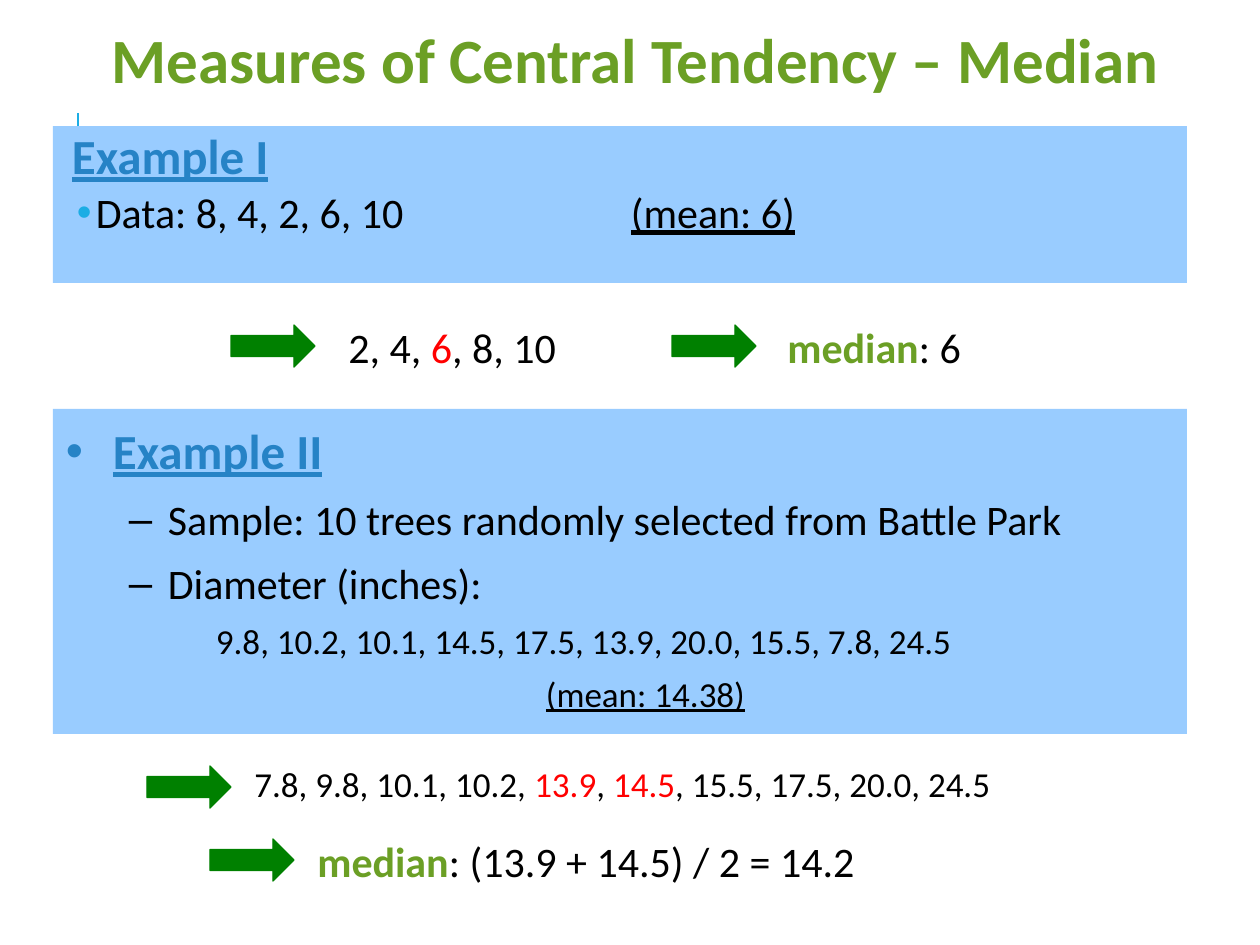
from lxml.etree import SubElement
from pptx import Presentation
from pptx.dml.color import RGBColor
from pptx.enum.shapes import MSO_CONNECTOR, MSO_SHAPE
from pptx.enum.text import MSO_ANCHOR, PP_ALIGN
from pptx.oxml.ns import qn
from pptx.util import Emu, Pt

SCALE = 914400 / 126
BLACK, RED, GREEN, BLUE = "000000", "FF0000", "6B9F25", "2683C6"
CYAN, PANEL, ARROW = "1CADE4", "99CCFF", "008000"


def px(n):
    """Turn pixels into EMU."""
    return Emu(round(n * SCALE))


def rgb(code):
    """Turn a hex string into a colour."""
    return RGBColor.from_string(code)


def write(para, parts):
    """Fill a paragraph with (text, size, colour, marks) runs; marks hold b or u."""
    for text, size, color, marks in parts:
        run = para.add_run()
        run.text = text
        font = run.font
        font.name, font.size = "Calibri", Pt(size)
        font.bold, font.underline = "b" in marks, "u" in marks
        font.color.rgb = rgb(color)


def layout(para, left, hang=0, mark=None, tint=BLACK, tab=None):
    """Set the indent, bullet and tab stop of a paragraph."""
    props = para._p.get_or_add_pPr()
    props.set("marL", str(px(left)))
    props.set("indent", str(-px(hang)))
    if mark:
        SubElement(SubElement(props, qn("a:buClr")), qn("a:srgbClr"), val=tint)
        SubElement(props, qn("a:buFont"), typeface="Arial")
        SubElement(props, qn("a:buChar"), char=mark)
    else:
        SubElement(props, qn("a:buNone"))
    if tab:
        stops = SubElement(props, qn("a:tabLst"))
        SubElement(stops, qn("a:tab"), pos=str(px(tab)), algn="l")


def panel(slide, x, y, w, h, pad, lead, rows):
    """Draw a filled box of rows: (parts, indent, space before, space after)."""
    box = slide.shapes.add_shape(MSO_SHAPE.RECTANGLE, px(x), px(y), px(w), px(h))
    box.shadow.inherit = False
    box.fill.solid()
    box.fill.fore_color.rgb = rgb(PANEL)
    box.line.fill.background()
    frame = box.text_frame
    frame.word_wrap = True
    frame.vertical_anchor = MSO_ANCHOR.TOP
    frame.margin_left = frame.margin_right = px(pad)
    frame.margin_top = frame.margin_bottom = px(6)
    for i, (parts, indent, before, after) in enumerate(rows):
        para = frame.add_paragraph() if i else frame.paragraphs[0]
        para.alignment = PP_ALIGN.LEFT
        layout(para, **indent)
        para.line_spacing = lead
        para.space_before, para.space_after = Pt(before), Pt(after)
        write(para, parts)


def label(slide, x, y, w, h, parts, wrap=False):
    """Place one line of text."""
    frame = slide.shapes.add_textbox(px(x), px(y), px(w), px(h)).text_frame
    frame.word_wrap = wrap
    write(frame.paragraphs[0], parts)
    return frame


def step(slide, x, y, gap, drop, w, h, parts):
    """Draw an arrow and the result to its right."""
    arrow = slide.shapes.add_shape(MSO_SHAPE.RIGHT_ARROW, px(x), px(y), px(84), px(42))
    arrow.shadow.inherit = False
    arrow.fill.solid()
    arrow.fill.fore_color.rgb = rgb(ARROW)
    arrow.line.color.rgb = rgb(ARROW)
    arrow.line.width = Pt(0.75)
    label(slide, x + 84 + gap, y - drop, w, h, parts)


def header(slide, x, y, w, h):
    """Draw the title and the thin rule under it."""
    title = [("Measures of Central Tendency – Median", 36, GREEN, "b")]
    frame = label(slide, x, y, w, h, title, True)
    frame.vertical_anchor = MSO_ANCHOR.MIDDLE
    frame.paragraphs[0].alignment = PP_ALIGN.CENTER
    rule = slide.shapes.add_connector(
        MSO_CONNECTOR.STRAIGHT, px(x + 57), px(y + 239), px(x + 57), px(y + 113))
    rule.line.color.rgb = rgb(CYAN)
    rule.line.width = Pt(1.5)
    SubElement(rule._element.spPr, qn("a:effectLst"))


def first(slide, x, y, w):
    """Draw the odd-sized example and its steps."""
    panel(slide, x, y, w, 157, 6, 0.9, [
        ([("Example I", 28, BLUE, "bu")], dict(left=13), 0, 2),
        ([("Data: 8, 4, 2, 6, 10\t", 24, BLACK, ""), ("(mean: 6)", 24, BLACK, "u")],
         dict(left=37, hang=19, mark="•", tint=CYAN, tab=572), 2, 4),
    ])
    step(slide, x + 178, y + 199, 21, 10, 258, 63, [
        ("2, 4, ", 24, BLACK, ""), ("6", 24, RED, ""), (", 8, 10", 24, BLACK, "")])
    step(slide, x + 619, y + 199, 19, 10, 219, 63, [
        ("median", 24, GREEN, "b"), (": 6", 24, BLACK, "")])


def second(slide, x, y, w):
    """Draw the even-sized example and its steps."""
    dash = dict(left=102, hang=39, mark="–")
    sample = "Sample: 10 trees randomly selected from Battle Park"
    data = "9.8, 10.2, 10.1, 14.5, 17.5, 13.9, 20.0, 15.5, 7.8, 24.5"
    panel(slide, x, y, w, 325, 13, 1.1, [
        ([("Example II", 28, BLUE, "bu")],
         dict(left=47, hang=47, mark="•", tint=BLUE), 0, 0),
        ([(sample, 24, BLACK, "")], dash, 5, 0),
        ([("Diameter (inches):", 24, BLACK, "")], dash, 5, 0),
        ([(data, 20, BLACK, "")], dict(left=150), 4, 0),
        ([("(mean: 14.38)", 20, BLACK, "u")], dict(left=480), 4, 0),
    ])
    step(slide, x + 94, y + 357, 11, 10, 840, 54, [
        ("7.8, 9.8, 10.1, 10.2, ", 20, BLACK, ""), ("13.9", 20, RED, ""),
        (", ", 20, BLACK, ""), ("14.5", 20, RED, ""),
        (", 15.5, 17.5, 20.0, 24.5", 20, BLACK, "")])
    step(slide, x + 157, y + 430, 11, 10, 622, 63, [
        ("median", 24, GREEN, "b"), (": (13.9 + 14.5) / 2 = 14.2", 24, BLACK, "")])


def main():
    """Build and save the slide."""
    deck = Presentation()
    deck.slide_width, deck.slide_height = px(1260), px(945)
    slide = deck.slides.add_slide(deck.slide_layouts[6])
    header(slide, 21, 0, 1229, 116)
    first(slide, 53, 126, 1134)
    second(slide, 53, 409, 1134)
    deck.save("out.pptx")


if __name__ == "__main__":
    main()
